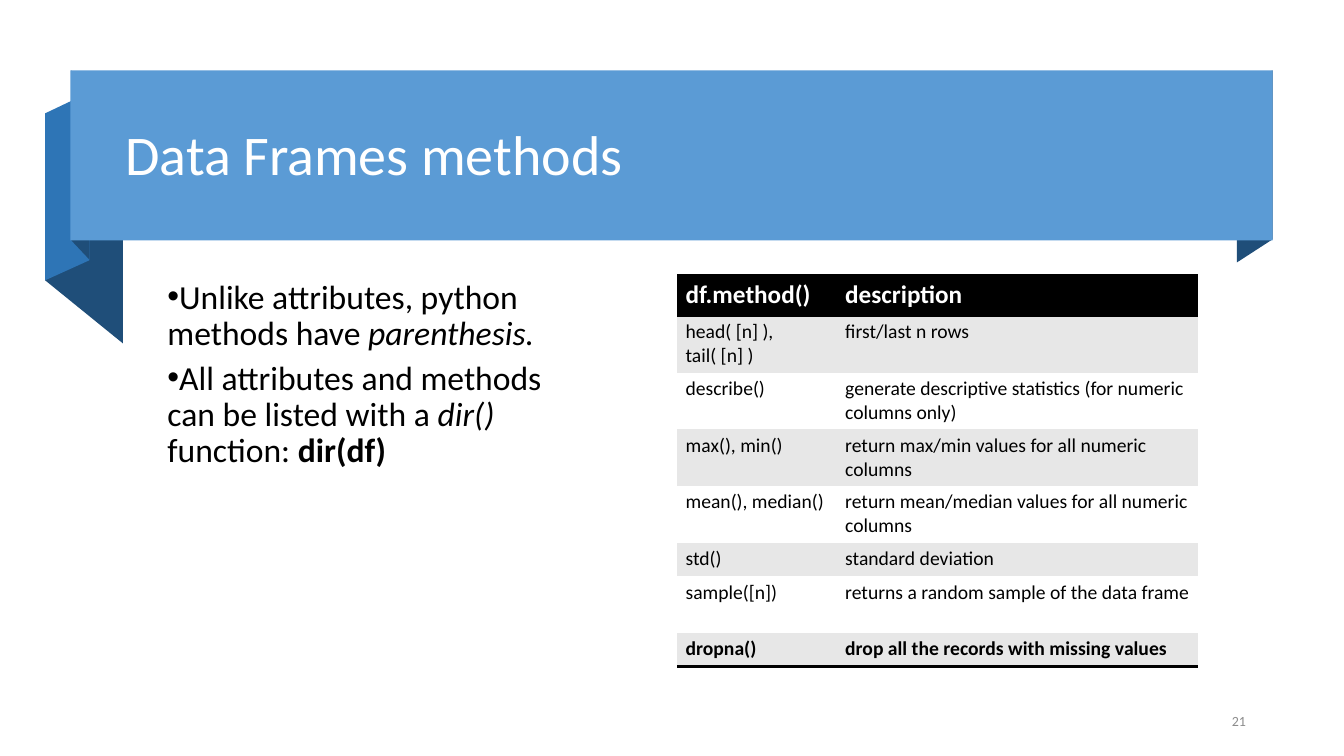
from dataclasses import dataclass
from typing import Optional

from lxml.etree import SubElement
from pptx import Presentation
from pptx.dml.color import RGBColor
from pptx.enum.shapes import MSO_SHAPE as Shape
from pptx.enum.text import MSO_ANCHOR as Anchor, PP_ALIGN as Align
from pptx.oxml import parse_xml
from pptx.oxml.ns import nsdecls, qn
from pptx.util import Pt

PX = 9525
FONT = "Calibri"
NO_GRID_STYLE = "{2D5ABB26-0587-4C30-8999-92F81FD0307C}"
COLOURS = {
    "white": "FFFFFF",
    "black": "000000",
    "band": "E7E7E7",
    "ribbon": "5B9BD5",
    "fold": "2E75B6",
    "shade": "1F4E79",
    "number": "8C8C8C",
}


@dataclass(frozen=True)
class Box:
    left: int
    top: int
    width: int
    height: int

    def emu(self) -> tuple[int, ...]:
        return tuple(v * PX for v in (self.left, self.top, self.width, self.height))


@dataclass(frozen=True)
class Fold:
    colour: str
    points: tuple[tuple[int, int], ...]


@dataclass(frozen=True)
class Run:
    text: str
    bold: bool = False
    italic: bool = False


@dataclass(frozen=True)
class TextBox:
    box: Box
    paragraphs: tuple[tuple[Run, ...], ...]
    size: int
    colour: str
    anchor: Anchor = Anchor.TOP
    align: Align = Align.LEFT
    line_spacing: Optional[float] = None
    space_after: int = 0
    bulleted: bool = False


@dataclass(frozen=True)
class Row:
    method: str
    description: str
    height: int
    size: int = 14
    bold: bool = False
    colour: str = "black"
    borders: tuple[str, ...] = ()


FOLDS = (
    Fold("shade", ((1212, 228), (1178, 250), (1178, 87), (1212, 67))),
    Fold("shade", ((117, 327), (43, 267), (43, 108), (117, 168))),
    Fold("fold", ((85, 248), (43, 267), (43, 108), (85, 88))),
    Fold("shade", ((85, 247), (68, 229), (68, 67), (85, 85))),
)
RIBBON = Box(67, 67, 1145, 162)
TEXT_BOXES = (
    TextBox(Box(110, 80, 1082, 139), ((Run("Data Frames methods"),),), 40, "white",
            anchor=Anchor.MIDDLE, line_spacing=0.9),
    TextBox(
        Box(150, 262, 425, 374),
        (
            (Run("Unlike attributes, python methods have "), Run("parenthesis.", italic=True)),
            (
                Run("All attributes and methods can be listed with a "),
                Run("dir() ", italic=True),
                Run("function: "),
                Run("dir(df)", bold=True),
            ),
        ),
        24, "black", line_spacing=0.9, space_after=6, bulleted=True,
    ),
    TextBox(Box(1124, 670, 72, 34), ((Run("21"),),), 10, "number",
            anchor=Anchor.MIDDLE, align=Align.RIGHT),
)
TABLE_LEFT, TABLE_TOP = 645, 262
COLUMN_WIDTHS = (152, 344)
ROWS = (
    Row("df.method()", "description", 39, 18, True, "white", ("lnT", "lnB")),
    Row("head( [n] ), tail( [n] )", "first/last n rows", 54),
    Row("describe()", "generate descriptive statistics (for numeric columns only)", 54),
    Row("max(), min()", "return max/min values for all numeric columns", 54),
    Row("mean(), median()", "return mean/median values for all numeric columns", 54),
    Row("std()", "standard deviation", 32),
    Row("sample([n])", "returns a random sample of the data frame", 54),
    Row("dropna()", "drop all the records with missing values", 32, bold=True, borders=("lnB",)),
)


def rgb(name: str) -> RGBColor:
    return RGBColor.from_string(COLOURS[name])


def paint(shape, colour: str) -> None:
    shape.shadow.inherit = False
    shape.fill.solid()
    shape.fill.fore_color.rgb = rgb(colour)
    shape.line.fill.background()


def add_run(paragraph, content: Run, size: int, colour: str) -> None:
    run = paragraph.add_run()
    run.text = content.text
    font = run.font
    font.name, font.size = FONT, Pt(size)
    font.bold, font.italic = content.bold, content.italic
    font.color.rgb = rgb(colour)


def add_bullet(paragraph) -> None:
    properties = paragraph._p.get_or_add_pPr()
    properties.set("marL", "0")
    properties.set("indent", str(-24 * PX))
    SubElement(properties, qn("a:buFont"), typeface="Arial")
    SubElement(properties, qn("a:buChar"), char="•")


def add_fold(slide, fold: Fold) -> None:
    builder = slide.shapes.build_freeform(*fold.points[0], scale=PX)
    builder.add_line_segments(fold.points[1:], close=True)
    paint(builder.convert_to_shape(), fold.colour)


def add_text(slide, item: TextBox) -> None:
    frame = slide.shapes.add_textbox(*item.box.emu()).text_frame
    frame.word_wrap = True
    frame.vertical_anchor = item.anchor
    for index, runs in enumerate(item.paragraphs):
        paragraph = frame.add_paragraph() if index else frame.paragraphs[0]
        paragraph.alignment = item.align
        paragraph.line_spacing = item.line_spacing
        paragraph.space_after = Pt(item.space_after)
        if item.bulleted:
            add_bullet(paragraph)
        for run in runs:
            add_run(paragraph, run, item.size, item.colour)


def add_borders(cell, sides: tuple[str, ...]) -> None:
    properties = cell._tc.get_or_add_tcPr()
    for index, side in enumerate(sides):
        properties.insert(index, parse_xml(
            f'<a:{side} {nsdecls("a")} w="{Pt(2)}"><a:solidFill>'
            f'<a:srgbClr val="{COLOURS["black"]}"/></a:solidFill></a:{side}>'
        ))


def add_methods_table(slide) -> None:
    box = Box(TABLE_LEFT, TABLE_TOP, sum(COLUMN_WIDTHS), sum(row.height for row in ROWS))
    table = slide.shapes.add_table(len(ROWS), len(COLUMN_WIDTHS), *box.emu()).table
    table.horz_banding = False
    table._tbl.tblPr.find(qn("a:tableStyleId")).text = NO_GRID_STYLE
    for column, width in zip(table.columns, COLUMN_WIDTHS):
        column.width = width * PX
    for index, row in enumerate(ROWS):
        table.rows[index].height = row.height * PX
        band = "black" if index == 0 else "band" if index % 2 else "white"
        for cell, text in zip(table.rows[index].cells, (row.method, row.description)):
            cell.margin_left = cell.margin_right = 8 * PX
            cell.margin_top = cell.margin_bottom = 4 * PX
            cell.fill.solid()
            cell.fill.fore_color.rgb = rgb(band)
            add_borders(cell, row.borders)
            add_run(cell.text_frame.paragraphs[0], Run(text, row.bold), row.size, row.colour)


def main() -> None:
    presentation = Presentation()
    presentation.slide_width, presentation.slide_height = 1280 * PX, 720 * PX
    slide = presentation.slides.add_slide(presentation.slide_layouts[6])
    for fold in FOLDS:
        add_fold(slide, fold)
    paint(slide.shapes.add_shape(Shape.RECTANGLE, *RIBBON.emu()), "ribbon")
    for item in TEXT_BOXES:
        add_text(slide, item)
    add_methods_table(slide)
    presentation.save("out.pptx")


if __name__ == "__main__":
    main()
